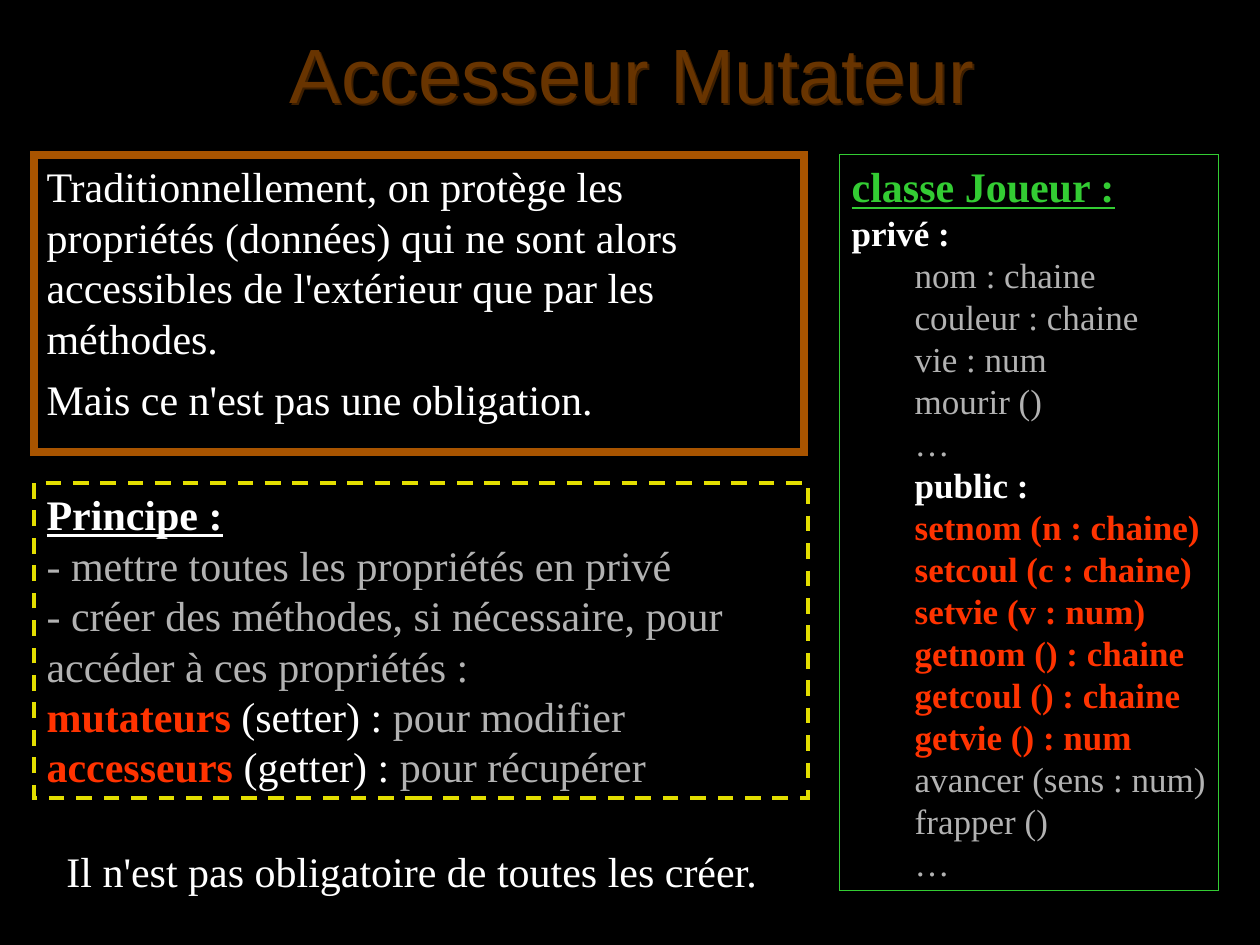
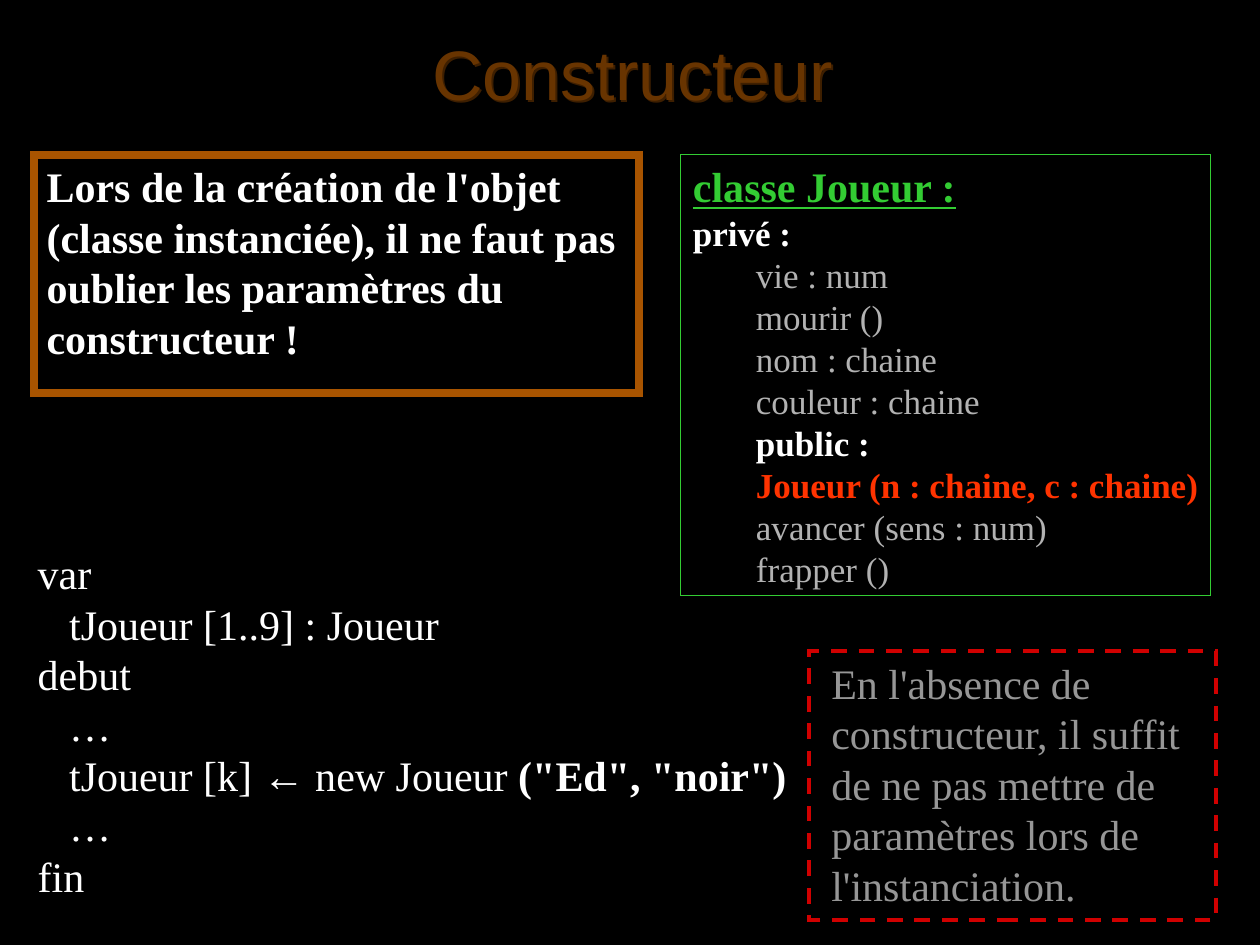
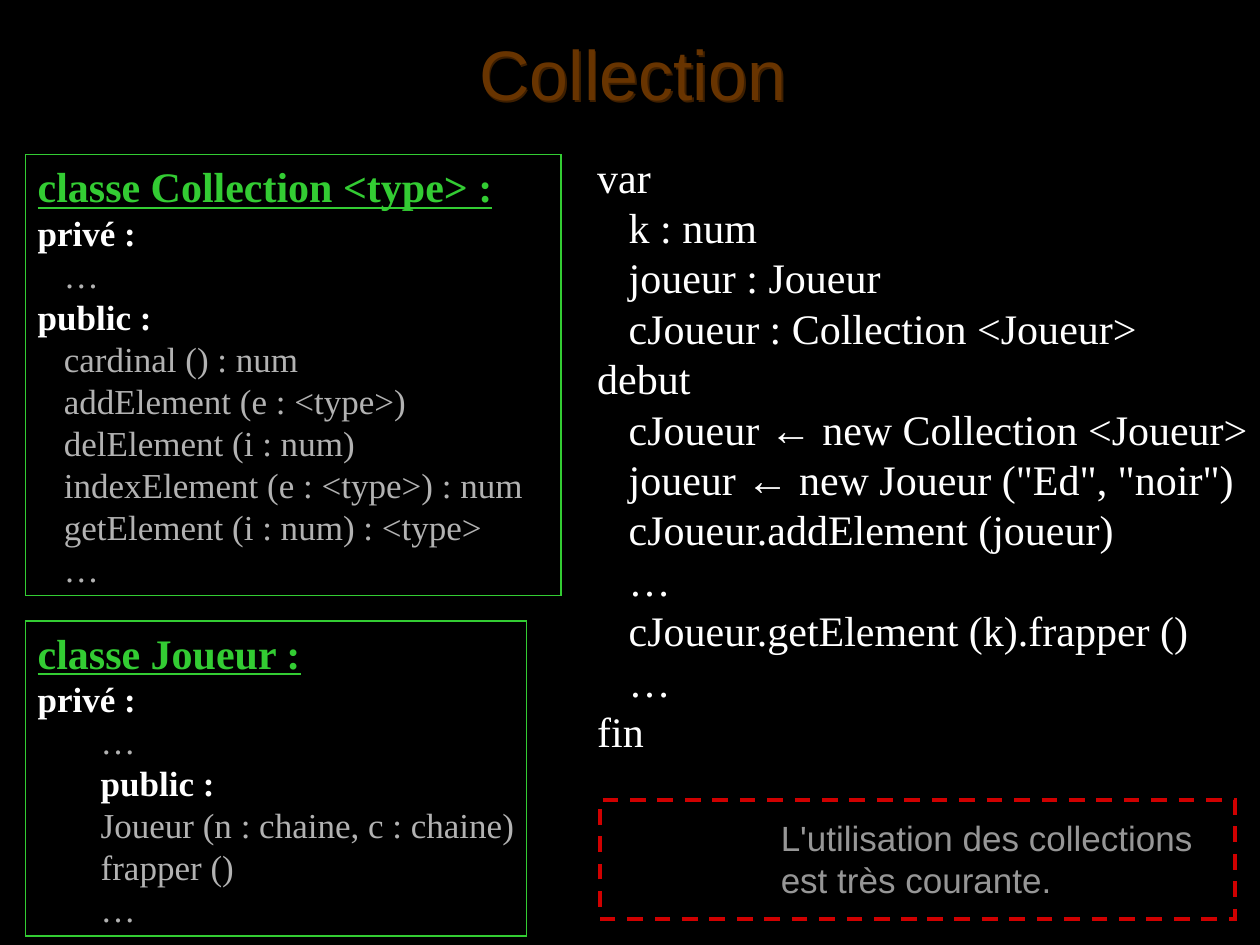
from dataclasses import dataclass
from typing import NamedTuple, Optional

from lxml import etree
from pptx import Presentation
from pptx.dml.color import RGBColor
from pptx.enum.dml import MSO_LINE
from pptx.enum.shapes import MSO_SHAPE
from pptx.enum.text import MSO_ANCHOR, PP_ALIGN
from pptx.oxml.ns import qn
from pptx.util import Cm, Pt

RECTANGLE = MSO_SHAPE.RECTANGLE
DASH = MSO_LINE.DASH
LEFT, CENTER = PP_ALIGN.LEFT, PP_ALIGN.CENTER
TOP, MIDDLE = MSO_ANCHOR.TOP, MSO_ANCHOR.MIDDLE

BLACK = RGBColor(0x00, 0x00, 0x00)
WHITE = RGBColor(0xFF, 0xFF, 0xFF)
BROWN = RGBColor(0x68, 0x34, 0x00)
DARK_BROWN = RGBColor(0x3E, 0x1F, 0x00)
ORANGE = RGBColor(0xA8, 0x54, 0x00)
GREEN = RGBColor(0x33, 0xCC, 0x33)
YELLOW = RGBColor(0xE3, 0xDE, 0x00)
RED = RGBColor(0xD0, 0x00, 0x00)
VERMILION = RGBColor(0xFF, 0x33, 0x00)
SILVER = RGBColor(0xB2, 0xB2, 0xB2)
GREY = RGBColor(0x96, 0x96, 0x96)

SERIF, SANS = "Times New Roman", "Arial"
ARROW = "←"
MEMBER_INDENT = 1.27


class Area(NamedTuple):
    """Left, top, width and height in centimetres."""
    left: float
    top: float
    width: float
    height: float

    def lengths(self) -> list[Cm]:
        return [Cm(value) for value in self]


class Border(NamedTuple):
    color: RGBColor
    points: float
    dashed: bool = False


@dataclass(frozen=True)
class Span:
    text: str
    color: RGBColor = WHITE
    size: float = 24
    bold: bool = False
    underline: bool = False
    font: str = SERIF


@dataclass(frozen=True)
class Line:
    spans: list[Span]
    indent: float = 0
    space_before: float = 0
    align: PP_ALIGN = LEFT


TITLE_AREA = Area(0.69, 0.33, 24.13, 2.26)
STATEMENT = Border(ORANGE, 4.5)
CLASS = Border(GREEN, 0.75)
PRINCIPLE = Border(YELLOW, 2.25, True)
WARNING = Border(RED, 2.25, True)


# Drawing
def add_block(slide, area: Area, lines: list[Line], border: Optional[Border] = None,
              wrap: bool = True, anchor: MSO_ANCHOR = TOP):
    if border:
        block = slide.shapes.add_shape(RECTANGLE, *area.lengths())
        block.shadow.inherit = False
        block.fill.background()
        block.line.color.rgb = border.color
        block.line.width = Pt(border.points)
        if border.dashed:
            block.line.dash_style = DASH
        # Square corners
        etree.SubElement(block.line._get_or_add_ln(), qn("a:miter"), lim="800000")
    else:
        block = slide.shapes.add_textbox(*area.lengths())
    frame = block.text_frame
    frame.word_wrap = wrap
    frame.vertical_anchor = anchor
    for index, line in enumerate(lines):
        paragraph = frame.paragraphs[0] if index == 0 else frame.add_paragraph()
        paragraph.alignment = line.align
        if line.indent:
            properties = paragraph._p.get_or_add_pPr()
            properties.set("marL", str(Cm(line.indent)))
            properties.set("indent", "0")
        if line.space_before:
            paragraph.space_before = Pt(line.space_before)
        for span in line.spans:
            run = paragraph.add_run()
            run.text = span.text
            run.font.name = span.font
            run.font.size = Pt(span.size)
            run.font.bold = span.bold
            run.font.underline = span.underline
            run.font.color.rgb = span.color
    return block


def add_titled_slide(prs, title: str, size: float = 40):
    slide = prs.slides.add_slide(prs.slide_layouts[6])
    heading = Line([Span(title, BROWN, size, font=SANS)], align=CENTER)
    block = add_block(slide, TITLE_AREA, [heading], anchor=MIDDLE)
    # Text shadow, down and to the right
    effects = etree.SubElement(block._element.spPr, qn("a:effectLst"))
    shadow = etree.SubElement(effects, qn("a:outerShdw"), dist=str(Pt(1.5)), dir="2700000")
    etree.SubElement(shadow, qn("a:srgbClr"), val=str(DARK_BROWN))
    return slide


def add_class(slide, area: Area, name: str, private: list[str], public: list[str],
              highlighted: tuple[str, ...] = (), indent: float = MEMBER_INDENT,
              wrap: bool = False) -> None:
    def member(text: str) -> Line:
        special = text in highlighted
        return Line([Span(text, VERMILION if special else SILVER, 20, special)], indent)

    lines = [
        Line([Span(f"classe {name} :", GREEN, bold=True, underline=True)]),
        Line([Span("privé :", size=20, bold=True)]),
        *map(member, private),
        Line([Span("public :", size=20, bold=True)], indent),
        *map(member, public),
    ]
    add_block(slide, area, lines, CLASS, wrap)


def code_line(code: str, bold_end: str = "") -> Line:
    before, arrow, after = code.partition(ARROW)
    spans = [Span(before), Span(arrow, font=SANS), Span(after), Span(bold_end, bold=True)]
    return Line([span for span in spans if span.text])


# Slides
def build_accessors(prs) -> None:
    slide = add_titled_slide(prs, "Accesseur Mutateur", 44)
    mutators = ("setnom (n : chaine)", "setcoul (c : chaine)", "setvie (v : num)")
    accessors = ("getnom () : chaine", "getcoul () : chaine", "getvie () : num")
    add_class(slide, Area(16.92, 3.12, 7.65, 14.83), "Joueur",
              ["nom : chaine", "couleur : chaine", "vie : num", "mourir ()", "…"],
              [*mutators, *accessors, "avancer (sens : num)", "frapper ()", "…"],
              mutators + accessors)
    add_block(slide, Area(0.69, 3.12, 15.52, 5.99), [
        Line([Span("Traditionnellement, on protège les propriétés (données) qui ne sont "
                   "alors accessibles de l'extérieur que par les méthodes.")]),
        Line([Span("Mais ce n'est pas une obligation.")], space_before=6),
    ], STATEMENT)
    roles = [("mutateurs", " (setter) : ", "pour modifier"),
             ("accesseurs", " (getter) : ", "pour récupérer")]
    add_block(slide, Area(0.69, 9.73, 15.6, 6.35), [
        Line([Span("Principe :", bold=True, underline=True)]),
        Line([Span("- mettre toutes les propriétés en privé", SILVER)]),
        Line([Span("- créer des méthodes, si nécessaire, pour accéder à ces propriétés :",
                   SILVER)]),
        *[Line([Span(role, VERMILION, bold=True), Span(english), Span(purpose, SILVER)])
          for role, english, purpose in roles],
    ], PRINCIPLE)
    add_block(slide, Area(1.09, 16.92, 14.48, 1.27),
              [Line([Span("Il n'est pas obligatoire de toutes les créer.")])], wrap=False)


def build_constructor(prs) -> None:
    slide = add_titled_slide(prs, "Constructeur")
    constructor = "Joueur (n : chaine, c : chaine)"
    add_class(slide, Area(13.72, 3.12, 10.69, 8.89), "Joueur",
              ["vie : num", "mourir ()", "nom : chaine", "couleur : chaine"],
              [constructor, "avancer (sens : num)", "frapper ()"], (constructor,))
    add_block(slide, Area(0.51, 10.92, 15.6, 7.37), [
        code_line("var"),
        code_line("   tJoueur [1..9] : Joueur"),
        code_line("debut"),
        code_line("   …"),
        code_line("   tJoueur [k] ← new Joueur ", '("Ed", "noir")'),
        code_line("   …"),
        code_line("fin"),
    ], wrap=False)
    add_block(slide, Area(0.69, 3.12, 12.19, 4.8), [
        Line([Span("Lors de la création de l'objet (classe instanciée), il ne faut pas "
                   "oublier les paramètres du constructeur !", bold=True)]),
    ], STATEMENT)
    add_block(slide, Area(16.51, 13.13, 7.8, 5.33), [
        Line([Span("En l'absence de constructeur, il suffit de ne pas mettre de "
                   "paramètres lors de l'instanciation.", GREY)]),
    ])
    add_block(slide, Area(16.31, 13.13, 8.2, 5.41), [], WARNING)


def build_collection(prs) -> None:
    slide = add_titled_slide(prs, "Collection")
    add_block(slide, Area(15.49, 16.33, 9.19, 1.96), [
        Line([Span("L'utilisation des collections est très courante.", GREY, 20, font=SANS)]),
    ])
    add_block(slide, Area(12.09, 16.13, 12.8, 2.39), [], WARNING)
    add_class(slide, Area(0.51, 3.12, 10.8, 8.89), "Collection <type>", ["   …"],
              ["   cardinal () : num", "   addElement (e : <type>)",
               "   delElement (i : num)", "   indexElement (e : <type>) : num",
               "   getElement (i : num) : <type>", "   …"], indent=0, wrap=True)
    program = [
        "var",
        "   k : num",
        "   joueur : Joueur",
        "   cJoueur : Collection <Joueur>",
        "debut",
        "   cJoueur ← new Collection <Joueur>",
        '   joueur ← new Joueur ("Ed", "noir")',
        "   cJoueur.addElement (joueur)",
        "   …",
        "   cJoueur.getElement (k).frapper ()",
        "   …",
        "fin",
    ]
    listing = add_block(slide, Area(11.79, 2.92, 13.61, 12.45),
                        [code_line(code) for code in program])
    # The longest code line needs the full width up to the slide edge
    listing.text_frame.margin_right = Cm(0)
    add_class(slide, Area(0.51, 12.52, 10.11, 6.35), "Joueur", ["…"],
              ["Joueur (n : chaine, c : chaine)", "frapper ()", "…"])


def main() -> None:
    prs = Presentation()
    prs.slide_width, prs.slide_height = Cm(25.4), Cm(19.05)
    background = prs.slide_master.background.fill
    background.solid()
    background.fore_color.rgb = BLACK
    for build in (build_accessors, build_constructor, build_collection):
        build(prs)
    prs.save("out.pptx")


if __name__ == "__main__":
    main()
